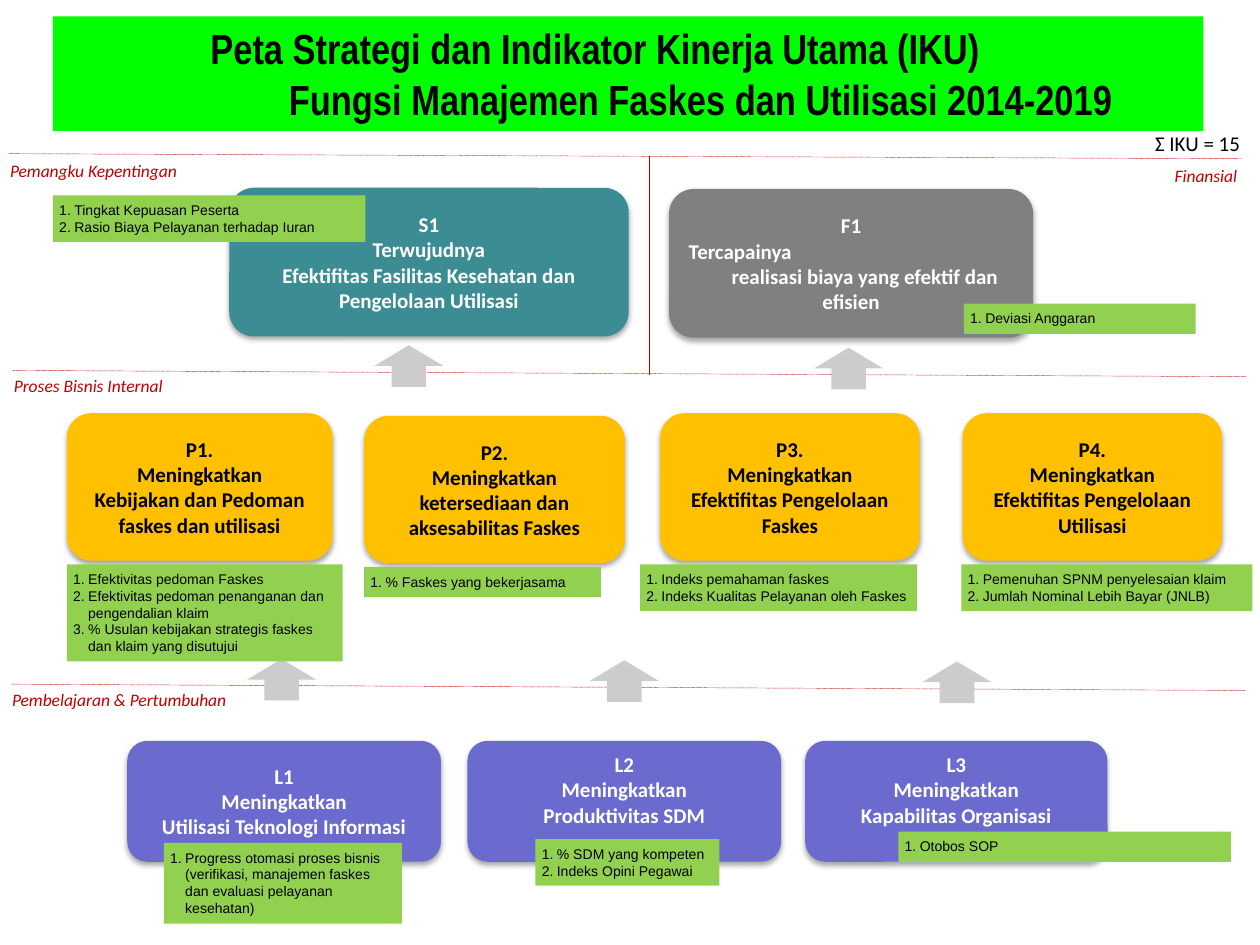
from dataclasses import dataclass

from lxml import etree
from pptx import Presentation
from pptx import util as u
from pptx.dml.color import RGBColor
from pptx.enum import dml, shapes, text
from pptx.oxml.ns import qn

SHAPE = shapes.MSO_SHAPE
ALIGN = text.PP_ALIGN


@dataclass(frozen=True)
class Theme:
    """Colours, fonts and type sizes of the strategy map."""
    banner: str = "00FF00"
    customer: str = "3C8C93"
    finance: str = "808080"
    process: str = "FFC000"
    learning: str = "6B6BCF"
    indicator: str = "92D050"
    arrow: str = "CCCCCC"
    accent: str = "C00000"
    dark: str = "000000"
    light: str = "FFFFFF"
    title_font: str = "Arial Narrow"
    body_font: str = "Calibri"
    list_font: str = "Arial"
    title_size: int = 24
    goal_size: int = 12
    label_size: int = 10
    list_size: int = 8


T = Theme()

DIVIDERS = [
    (0.07, 1.22, 9.86, 1.26),
    (5.15, 1.24, 5.15, 2.97),
    (0.1, 2.94, 9.89, 2.99),
    (0.09, 5.43, 9.88, 5.48),
]
PERSPECTIVES = [
    ("Pemangku Kepentingan", (0.08, 1.27, 1.67, 0.17), ALIGN.LEFT),
    ("Finansial", (9.16, 1.31, 0.66, 0.17), ALIGN.RIGHT),
    ("Proses Bisnis Internal", (0.11, 2.98, 1.67, 0.17), ALIGN.LEFT),
    ("Pembelajaran & Pertumbuhan", (0.04, 5.47, 1.81, 0.17), ALIGN.CENTER),
]
ARROWS = [(2.97, 2.74), (6.46, 2.76), (1.96, 5.23), (4.68, 5.24), (7.32, 5.25)]
GOALS = [
    ((1.82, 1.49, 3.17, 1.18), T.customer, T.light,
     ["S1", "Terwujudnya", "Efektifitas Fasilitas Kesehatan dan Pengelolaan Utilisasi"]),
    ((0.53, 3.28, 2.11, 1.17), T.process, T.dark,
     ["P1.", "Meningkatkan", "Kebijakan dan Pedoman faskes dan utilisasi"]),
    ((2.89, 3.3, 2.07, 1.17), T.process, T.dark,
     ["P2.", "Meningkatkan ketersediaan dan aksesabilitas Faskes"]),
    ((5.24, 3.28, 2.06, 1.17), T.process, T.dark,
     ["P3.", "Meningkatkan", "Efektifitas Pengelolaan Faskes"]),
    ((7.64, 3.28, 2.06, 1.17), T.process, T.dark,
     ["P4.", "Meningkatkan", "Efektifitas Pengelolaan Utilisasi"]),
    ((1.01, 5.88, 2.49, 0.96), T.learning, T.light,
     ["L1", "Meningkatkan", "Utilisasi Teknologi Informasi"]),
]
RAISED_GOALS = [
    ((3.71, 5.88, 2.49, 0.96), ["L2", "Meningkatkan", "Produktivitas SDM"]),
    ((6.39, 5.88, 2.4, 0.96), ["L3", "Meningkatkan", "Kapabilitas Organisasi"]),
]
INDICATORS = [
    ((0.42, 1.55, 2.48, 0.37),
     ["Tingkat Kepuasan Peserta", "Rasio Biaya Pelayanan terhadap Iuran"]),
    ((7.65, 2.41, 1.84, 0.24), ["Deviasi Anggaran"]),
    ((0.53, 4.48, 2.19, 0.77),
     ["Efektivitas pedoman Faskes",
      "Efektivitas pedoman penanganan dan pengendalian klaim",
      "% Usulan kebijakan strategis faskes dan klaim yang disutujui"]),
    ((2.89, 4.5, 1.88, 0.24), ["% Faskes yang bekerjasama"]),
    ((5.08, 4.48, 2.2, 0.37),
     ["Indeks pemahaman faskes", "Indeks Kualitas Pelayanan oleh Faskes"]),
    ((7.63, 4.48, 2.31, 0.37),
     ["Pemenuhan SPNM penyelesaian klaim", "Jumlah Nominal Lebih Bayar (JNLB)"]),
    ((1.3, 6.69, 1.89, 0.64),
     ["Progress otomasi proses bisnis (verifikasi, manajemen faskes dan evaluasi "
      "pelayanan kesehatan)"]),
    ((4.25, 6.66, 1.46, 0.37), ["% SDM yang kompeten", "Indeks Opini Pegawai"]),
    ((7.13, 6.6, 2.64, 0.24), ["Otobos SOP"]),
]


def inches(box):
    """Convert a tuple of numbers to lengths."""
    return [u.Inches(v) for v in box]


def write(sp, lines, font, size, color, align, bold=False, italic=False):
    """Fill a shape with paragraphs in one style and return its text frame."""
    tf = sp.text_frame
    tf.word_wrap = True
    tf.auto_size = text.MSO_AUTO_SIZE.NONE
    tf.text = "\n".join(lines)
    for p in tf.paragraphs:
        p.alignment = align
        for r in p.runs:
            r.font.name, r.font.size = font, u.Pt(size)
            r.font.bold, r.font.italic = bold, italic
            r.font.color.rgb = RGBColor.from_string(color)
    return tf


def set_margins(tf, size):
    """Give a text frame the same margin on all sides."""
    tf.margin_left = tf.margin_top = tf.margin_right = tf.margin_bottom = u.Inches(size)


def indent(p, left, first):
    """Set the left margin and first-line indent of a paragraph."""
    pPr = p._p.get_or_add_pPr()
    pPr.set("marL", str(u.Inches(left)))
    pPr.set("indent", str(u.Inches(first)))
    return pPr


def add_block(s, kind, box, fill):
    """Add a flat, borderless preset shape."""
    sp = s.shapes.add_shape(kind, *inches(box))
    sp.shadow.inherit = False
    sp.fill.solid()
    sp.fill.fore_color.rgb = RGBColor.from_string(fill)
    sp.line.fill.background()
    return sp


def add_shadow(sp):
    """Give a shape a soft shadow below it."""
    effects = sp._element.spPr.find(qn("a:effectLst"))
    shadow = etree.SubElement(effects, qn("a:outerShdw"), blurRad=str(u.Pt(3.1)),
                              dist=str(u.Pt(1.8)), dir="5400000", rotWithShape="0")
    color = etree.SubElement(shadow, qn("a:srgbClr"), val=T.dark)
    etree.SubElement(color, qn("a:alpha"), val="35000")


def add_title(s):
    """Format the title placeholder as the banner."""
    sp = s.shapes.title
    sp.left, sp.top, sp.width, sp.height = inches((0.42, 0.13, 9.13, 0.91))
    sp.fill.solid()
    sp.fill.fore_color.rgb = RGBColor.from_string(T.banner)
    tf = write(sp, ["Peta Strategi dan Indikator Kinerja Utama (IKU)",
                    "Fungsi Manajemen Faskes dan Utilisasi 2014-2019"],
               T.title_font, T.title_size, T.dark, ALIGN.CENTER, bold=True)
    tf.vertical_anchor = text.MSO_ANCHOR.TOP
    tf.paragraphs[0].alignment = ALIGN.LEFT
    indent(tf.paragraphs[0], 1.15, 0)


def add_divider(s, ends):
    """Add a thin dotted line between perspectives."""
    c = s.shapes.add_connector(shapes.MSO_CONNECTOR.STRAIGHT, *inches(ends))
    c.line.color.rgb = RGBColor.from_string(T.accent)
    c.line.width = u.Pt(0.25)
    c.line.dash_style = dml.MSO_LINE.ROUND_DOT
    etree.SubElement(c._element.spPr, qn("a:effectLst"))


def add_perspective(s, name, box, align):
    """Add the italic name of a perspective."""
    tf = write(s.shapes.add_textbox(*inches(box)), [name], T.body_font,
               T.label_size, T.accent, align, italic=True)
    set_margins(tf, 0)


def add_goal(s, box, fill, color, lines):
    """Add a rounded strategic goal and return its text frame."""
    sp = add_block(s, SHAPE.ROUNDED_RECTANGLE, box, fill)
    add_shadow(sp)
    tf = write(sp, lines, T.body_font, T.goal_size, color, ALIGN.CENTER, bold=True)
    tf.vertical_anchor = text.MSO_ANCHOR.MIDDLE
    return tf


def add_indicators(s, box, lines):
    """Add a numbered list of performance indicators."""
    sp = add_block(s, SHAPE.RECTANGLE, box, T.indicator)
    tf = write(sp, lines, T.list_font, T.list_size, T.dark, ALIGN.LEFT)
    tf.vertical_anchor = text.MSO_ANCHOR.TOP
    set_margins(tf, 0.05)
    for p in tf.paragraphs:
        etree.SubElement(indent(p, 0.12, -0.12), qn("a:buAutoNum"), type="arabicPeriod")


def main():
    """Build the strategy map slide."""
    prs = Presentation()
    prs.slide_width, prs.slide_height = inches((10, 7.5))
    s = prs.slides.add_slide(prs.slide_layouts[5])
    add_title(s)
    for ends in DIVIDERS:
        add_divider(s, ends)
    for name, box, align in PERSPECTIVES:
        add_perspective(s, name, box, align)
    write(s.shapes.add_textbox(*inches((9.02, 0.99, 0.97, 0.3))), ["Ʃ IKU = 15"],
          T.body_font, T.goal_size, T.dark, ALIGN.CENTER)
    for left, top in ARROWS:
        add_block(s, SHAPE.UP_ARROW, (left, top, 0.55, 0.33), T.arrow)
    for goal in GOALS:
        add_goal(s, *goal)
    tf = add_goal(s, (5.31, 1.5, 2.89, 1.18), T.finance, T.light,
                  ["F1", "Tercapainya", "realisasi biaya yang efektif dan efisien"])
    tf.paragraphs[1].alignment = ALIGN.LEFT
    indent(tf.paragraphs[2], 0, 0.22)
    for box, lines in RAISED_GOALS:
        tf = add_goal(s, box, T.learning, T.light, lines)
        tf.vertical_anchor = text.MSO_ANCHOR.TOP
        tf.margin_top = u.Inches(0.04)
    for box, lines in INDICATORS:
        add_indicators(s, box, lines)
    prs.save("out.pptx")


if __name__ == "__main__":
    main()
